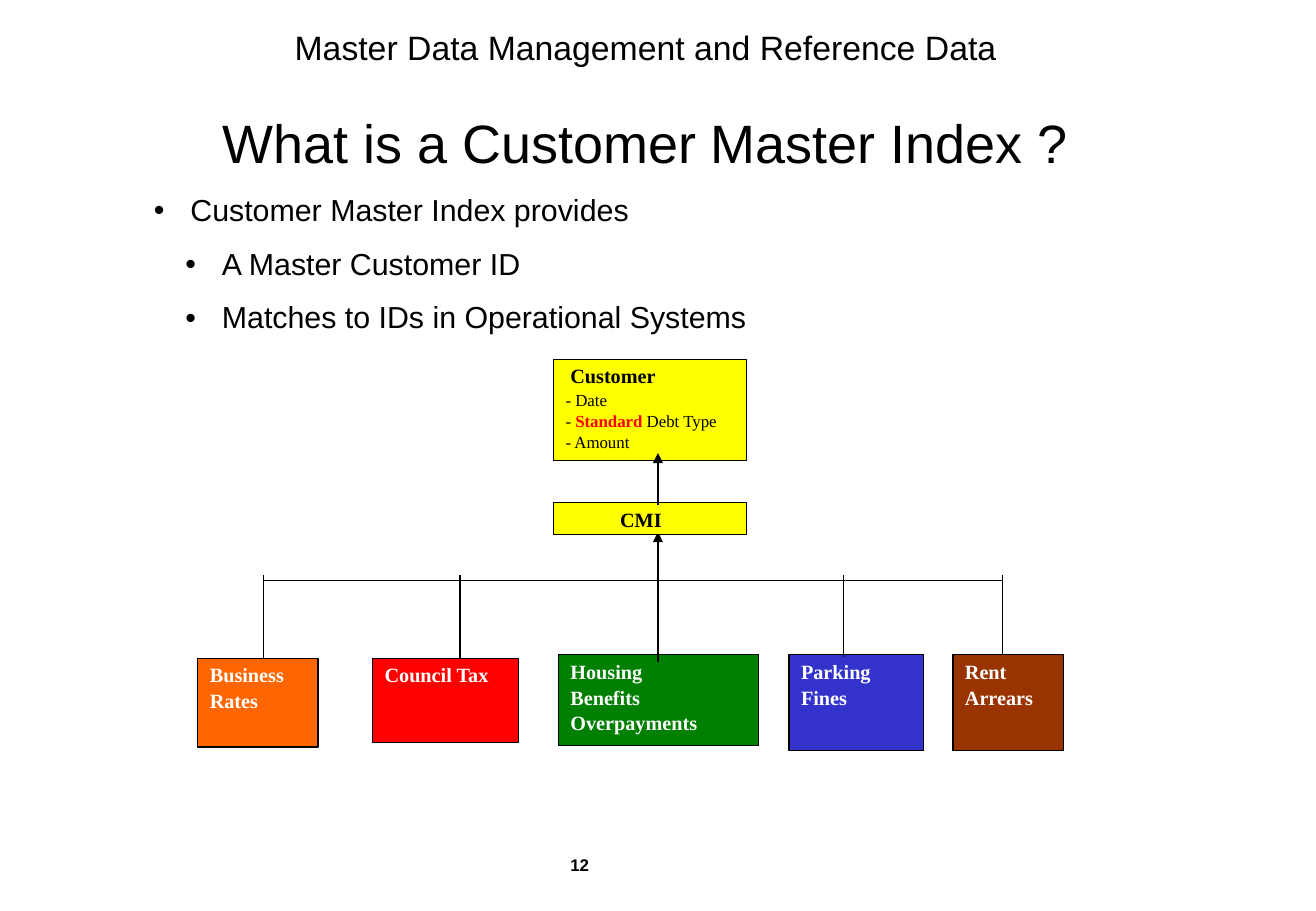
import pptx
import pptx.util
import pptx.dml.color
import pptx.enum.shapes
import pptx.enum.text
from lxml import etree

Inches = pptx.util.Inches
Pt = pptx.util.Pt
RGBColor = pptx.dml.color.RGBColor

BLACK = RGBColor(0x00, 0x00, 0x00)
WHITE = RGBColor(0xFF, 0xFF, 0xFF)
YELLOW = RGBColor(0xFF, 0xFF, 0x00)
RED = RGBColor(0xFF, 0x00, 0x00)
GREEN = RGBColor(0x00, 0x80, 0x00)
ORANGE = RGBColor(0xFF, 0x66, 0x00)
BLUE = RGBColor(0x33, 0x33, 0xCC)
BROWN = RGBColor(0x99, 0x33, 0x00)

SANS = "Arial"
SERIF = "Times New Roman"
DRAWING = "http://schemas.openxmlformats.org/drawingml/2006/main"

# text, size, space before
HEADINGS = [
    ("Master Data Management and Reference Data", 20, 0),
    ("What is a Customer Master Index ?", 32, 28),
]
# text, text indent in inches
BULLETS = [
    ("Customer Master Index provides", 0.3),
    ("A Master Customer ID", 0.56),
    ("Matches to IDs in Operational Systems", 0.56),
]
BULLET_HANG = 0.3
PAGE_NUMBER = "12"

# lines, fill, (left, top, width, height), x and lower end of the line above
SYSTEMS = [
    (["Business", "Rates"], ORANGE, (1.63, 5.42, 0.99, 0.73), (2.17, 5.42)),
    (["Council Tax"], RED, (3.07, 5.42, 1.2, 0.69), (3.79, 5.42)),
    (["Housing", "Benefits Overpayments"], GREEN, (4.6, 5.39, 1.65, 0.75), (5.42, 5.45)),
    (["Parking", "Fines"], BLUE, (6.5, 5.39, 1.11, 0.79), (6.95, 5.41)),
    (["Rent", "Arrears"], BROWN, (7.85, 5.39, 0.91, 0.79), (8.26, 5.39)),
]
CENTRAL_SYSTEM = 2
BUS_Y = 4.78
DROP_TOP = 4.73
CMI_BOX = (4.56, 4.14, 1.59, 0.26)
CUSTOMER_BOX = (4.56, 2.96, 1.59, 0.83)
CUSTOMER_FIELDS = [
    [("- Date", BLACK, False)],
    [("- ", BLACK, False), ("Standard", RED, True), (" Debt Type", BLACK, False)],
    [("- Amount", BLACK, False)],
]


def add_child(parent, tag, **attributes):
    return etree.SubElement(parent, f"{{{DRAWING}}}{tag}", **attributes)


def set_font(font, name, size, color, bold=False):
    font.name = name
    font.size = Pt(size)
    font.color.rgb = color
    font.bold = bold


def indent(paragraph, left, first=0):
    properties = paragraph._p.get_or_add_pPr()
    properties.set("marL", str(Inches(left)))
    properties.set("indent", str(Inches(first)))
    return properties


def next_paragraph(frame):
    """Return the empty first paragraph of a frame, or a new one after text."""
    first = frame.paragraphs[0]
    return frame.add_paragraph() if first.runs else first


def add_text_frame(slide, left, top, width, height):
    box = slide.shapes.add_textbox(*map(Inches, (left, top, width, height)))
    box.text_frame.word_wrap = True
    return box.text_frame


def add_box(slide, position, fill):
    box = slide.shapes.add_shape(
        pptx.enum.shapes.MSO_SHAPE.RECTANGLE, *map(Inches, position))
    box.shadow.inherit = False
    box.fill.solid()
    box.fill.fore_color.rgb = fill
    box.line.color.rgb = BLACK
    box.line.width = Pt(0.75)
    box.text_frame.word_wrap = True
    box.text_frame.vertical_anchor = pptx.enum.text.MSO_ANCHOR.TOP
    return box.text_frame


def add_box_line(frame, text, color, left=0):
    paragraph = next_paragraph(frame)
    paragraph.line_spacing = 1.05 if paragraph._p.getprevious().tag.endswith("}p") else 0.95
    paragraph.alignment = pptx.enum.text.PP_ALIGN.LEFT
    indent(paragraph, left)
    paragraph.add_run().text = text
    set_font(paragraph.font, SERIF, 12, color, True)
    return paragraph


def add_line(slide, start, end, arrow=False):
    line = slide.shapes.add_connector(
        pptx.enum.shapes.MSO_CONNECTOR.STRAIGHT, *map(Inches, start + end))
    line.line.color.rgb = BLACK
    line.line.width = Pt(0.75)
    if arrow:
        add_child(line.line._get_or_add_ln(), "tailEnd", type="triangle")
    add_child(line._element.spPr, "effectLst")


def add_headings(slide):
    frame = add_text_frame(slide, 0.76, 0.2, 9.12, 1.22)
    for text, size, space in HEADINGS:
        paragraph = next_paragraph(frame)
        paragraph.add_run().text = text
        paragraph.alignment = pptx.enum.text.PP_ALIGN.CENTER
        paragraph.line_spacing = 0.93
        paragraph.space_before = Pt(space)
        set_font(paragraph.font, SANS, size, BLACK)


def add_bullets(slide):
    frame = add_text_frame(slide, 1.17, 1.55, 7.67, 1.3)
    for index, (text, left) in enumerate(BULLETS):
        paragraph = next_paragraph(frame)
        paragraph.add_run().text = text
        paragraph.line_spacing = 0.93
        paragraph.space_before = Pt(11.8 if index else 0)
        properties = indent(paragraph, left, -BULLET_HANG)
        add_child(properties, "buFont", typeface=SANS)
        add_child(properties, "buChar", char="•")
        set_font(paragraph.font, SANS, 18, BLACK)


def add_diagram(slide):
    for lines, fill, position, _ in SYSTEMS:
        frame = add_box(slide, position, fill)
        for text in lines:
            add_box_line(frame, text, WHITE)

    drops = [drop for *_, drop in SYSTEMS]
    add_line(slide, (drops[0][0], BUS_Y), (drops[-1][0], BUS_Y))
    for index, (x, bottom) in enumerate(drops):
        central = index == CENTRAL_SYSTEM
        add_line(slide, (x, bottom), (x, 4.38 if central else DROP_TOP), central)

    add_box_line(add_box(slide, CMI_BOX, YELLOW), "CMI", BLACK, 0.45)
    frame = add_box(slide, CUSTOMER_BOX, YELLOW)
    add_box_line(frame, "Customer", BLACK, 0.04)
    for field in CUSTOMER_FIELDS:
        paragraph = frame.add_paragraph()
        paragraph.alignment = pptx.enum.text.PP_ALIGN.LEFT
        paragraph.line_spacing = 1.05
        for text, color, bold in field:
            run = paragraph.add_run()
            run.text = text
            set_font(run.font, SERIF, 10, color, bold)
    center_x = drops[CENTRAL_SYSTEM][0]
    add_line(slide, (center_x, 4.16), (center_x, 3.73), True)


def add_page_number(slide):
    paragraph = add_text_frame(slide, 4.6, 7, 0.63, 0.26).paragraphs[0]
    paragraph.add_run().text = PAGE_NUMBER
    paragraph.line_spacing = 0.93
    set_font(paragraph.font, SANS, 10, BLACK, True)


def main():
    presentation = pptx.Presentation()
    presentation.slide_width = Inches(10.84)
    presentation.slide_height = Inches(7.5)
    slide = presentation.slides.add_slide(presentation.slide_layouts[6])
    add_headings(slide)
    add_bullets(slide)
    add_diagram(slide)
    add_page_number(slide)
    presentation.save("out.pptx")


if __name__ == "__main__":
    main()
